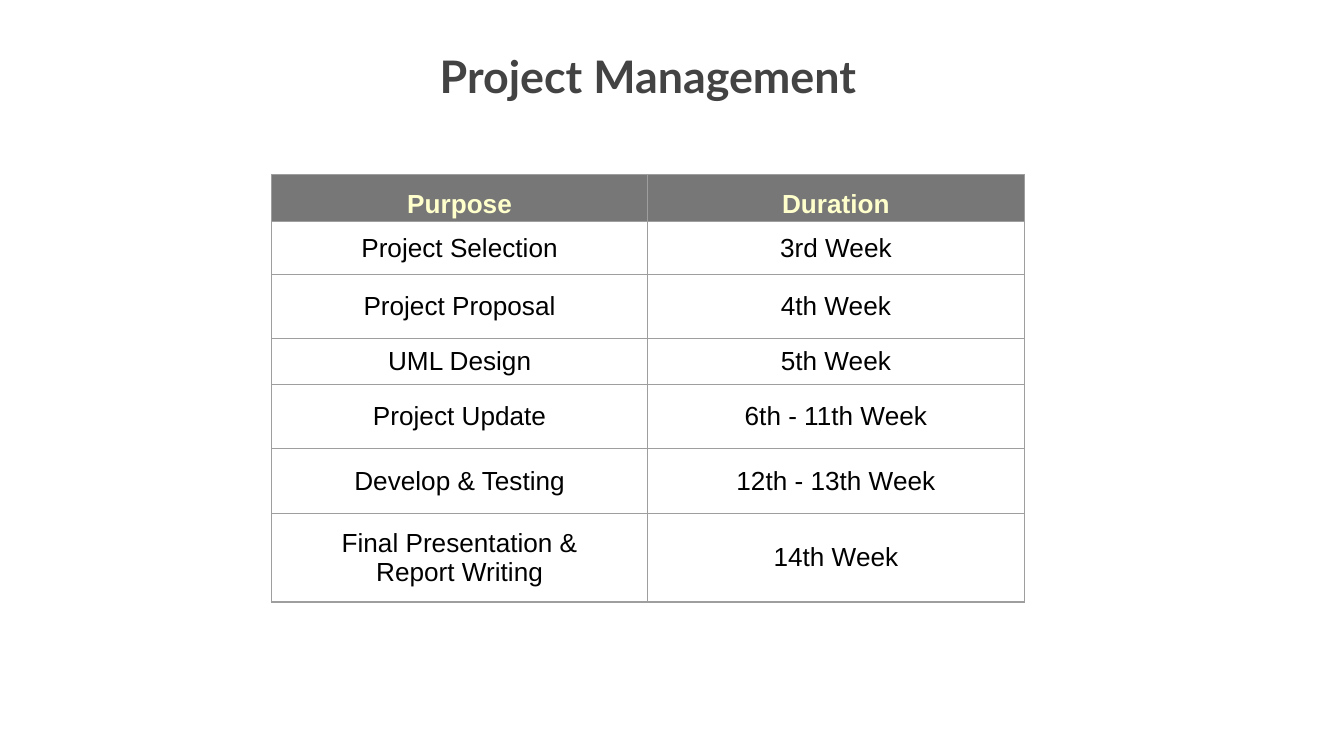
from lxml.etree import SubElement as Sub
from pptx import Presentation
from pptx.dml.color import RGBColor as Rgb
from pptx.enum.text import MSO_ANCHOR as Anchor, PP_ALIGN as Align
from pptx.oxml.ns import qn
from pptx.util import Inches, Pt

HUES = {"title": "434343", "head": "777777", "label": "FFFFCC",
        "body": "000000", "rule": "9E9E9E"}
ROWS = [
    ("Purpose", "Duration", 0.35),
    ("Project Selection", "3rd Week", 0.39),
    ("Project Proposal", "4th Week", 0.48),
    ("UML Design", "5th Week", 0.34),
    ("Project Update", "6th - 11th Week", 0.48),
    ("Develop & Testing", "12th - 13th Week", 0.48),
    ("Final Presentation &\nReport Writing", "14th Week", 0.66),
]


def write(frame, text, size=14, face="Arial", hue="body", bold=False):
    para = frame.paragraphs[0]
    para.text = text
    para.alignment = Align.CENTER
    for gap in para._p.findall(qn("a:br")):
        Sub(gap, qn("a:rPr"), sz=str(size * 100))
    for run in para.runs:
        font = run.font
        font.size, font.name, font.bold = Pt(size), face, bold
        font.color.rgb = Rgb.from_string(HUES[hue])


def pad(box, side, end):
    box.margin_left = box.margin_right = Inches(side)
    box.margin_top = box.margin_bottom = Inches(end)


def edge(cell):
    props = cell._tc.get_or_add_tcPr()
    for side in "LRTB":
        line = Sub(props, qn(f"a:ln{side}"), w=str(Pt(0.75)))
        fill = Sub(line, qn("a:solidFill"))
        Sub(fill, qn("a:srgbClr"), val=HUES["rule"])


def add_title(slide, text):
    title = slide.shapes.title
    title.left, title.top = Inches(1.97), Inches(0.26)
    title.width, title.height = Inches(5.7), Inches(1.03)
    frame = title.text_frame
    frame.word_wrap = True
    frame.vertical_anchor = Anchor.TOP
    pad(frame, 0.1, 0.1)
    write(frame, text, size=24, face="Lato", hue="title", bold=True)


def add_cell(cell, text, head):
    pad(cell, 0.03, 0.02)
    cell.vertical_anchor = Anchor.BOTTOM if head else Anchor.MIDDLE
    edge(cell)
    if head:
        cell.fill.solid()
        cell.fill.fore_color.rgb = Rgb.from_string(HUES["head"])
    else:
        cell.fill.background()
    write(cell.text_frame, text, hue="label" if head else "body", bold=head)


def add_plan(slide, rows):
    tall = sum(row[-1] for row in rows)
    table = slide.shapes.add_table(len(rows), 2, Inches(2.02), Inches(1.3),
                                   Inches(5.6), Inches(tall)).table
    table.first_row = table.horz_banding = False
    for i, (*texts, high) in enumerate(rows):
        table.rows[i].height = Inches(high)
        for j, text in enumerate(texts):
            add_cell(table.cell(i, j), text, i == 0)


def main():
    deck = Presentation()
    deck.slide_width = Inches(10)
    deck.slide_height = deck.slide_width * 9 // 16
    slide = deck.slides.add_slide(deck.slide_layouts[5])
    add_title(slide, "Project Management")
    add_plan(slide, ROWS)
    deck.save("out.pptx")


if __name__ == "__main__":
    main()
